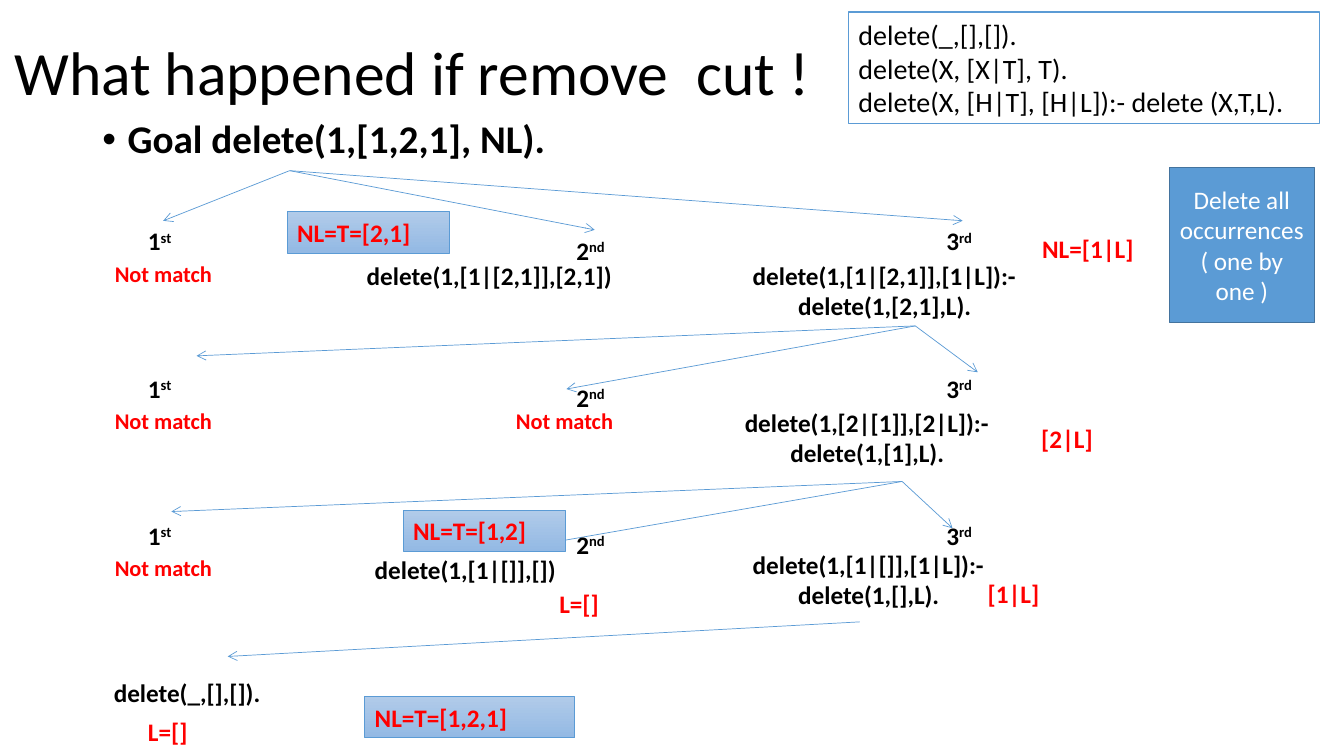
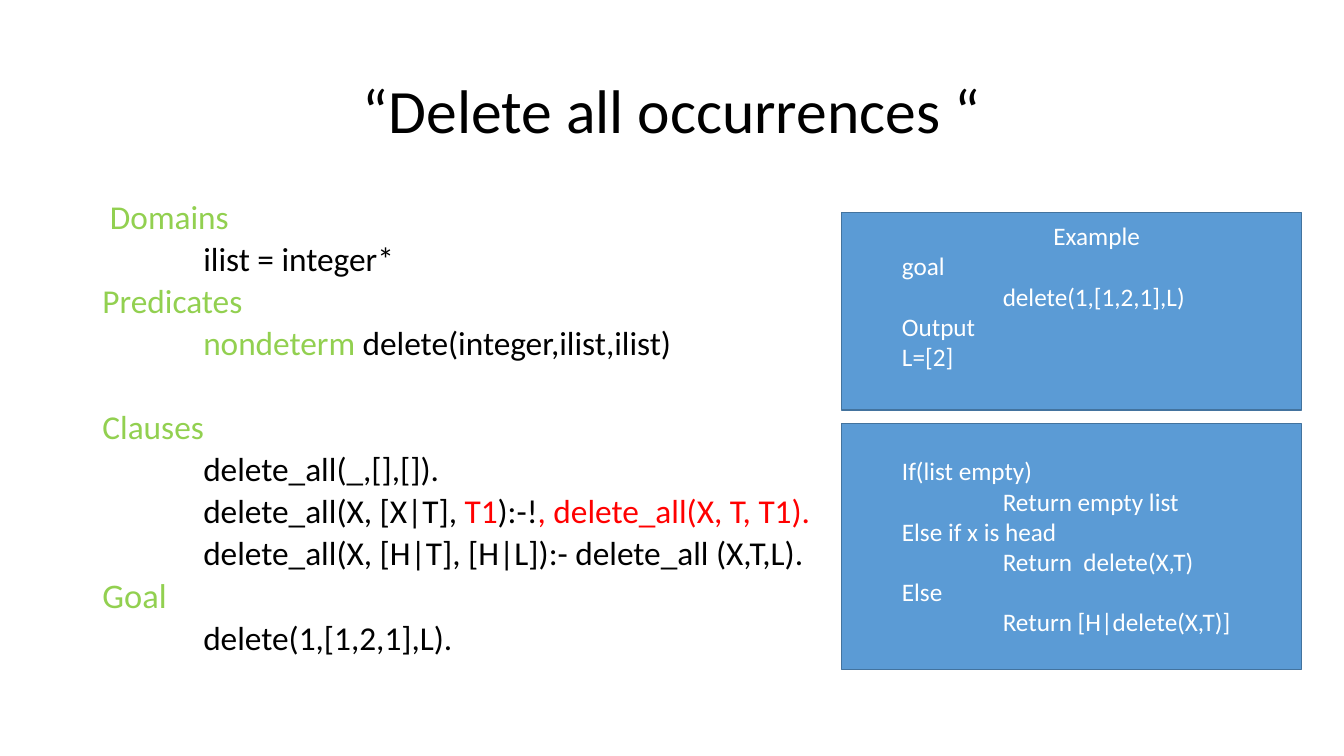
from lxml import etree
from pptx import Presentation
from pptx.dml.color import RGBColor
from pptx.enum.shapes import MSO_CONNECTOR, MSO_SHAPE
from pptx.enum.text import MSO_ANCHOR, MSO_AUTO_SIZE, PP_ALIGN
from pptx.oxml.ns import qn
from pptx.util import Pt

RECTANGLE = MSO_SHAPE.RECTANGLE
STRAIGHT = MSO_CONNECTOR.STRAIGHT
MIDDLE = MSO_ANCHOR.MIDDLE
NO_FIT = MSO_AUTO_SIZE.NONE
LEFT, CENTER, JUSTIFY = PP_ALIGN.LEFT, PP_ALIGN.CENTER, PP_ALIGN.JUSTIFY

FONT = "Calibri"
HEX = {
    "black": "000000", "white": "FFFFFF", "red": "FF0000", "green": "92D050",
    "blue": "5B9BD5", "edge": "43739E", "pale": "B1CBE9", "sky": "93B9E4",
}
COLORS = {name: RGBColor.from_string(value) for name, value in HEX.items()}


def write(box, lines, size, color, bold=False, align=LEFT):
    frame = box.text_frame
    frame.word_wrap = True
    frame.auto_size = NO_FIT
    frame.text = "\n".join(text for indent, text in lines)
    for para, (indent, text) in zip(frame.paragraphs, lines):
        para.alignment = align
        properties = para._p.get_or_add_pPr()
        properties.set("marL", str(Pt(indent)))
        properties.set("indent", "0")
        for span in para.runs:
            span.font.name = FONT
            span.font.size = Pt(size)
            span.font.bold = bold
            span.font.color.rgb = COLORS[color]


def add_panel(page, place, fill, edge, weight):
    box = page.shapes.add_shape(RECTANGLE, *map(Pt, place))
    box.shadow.inherit = False
    box.fill.solid()
    box.fill.fore_color.rgb = COLORS[fill]
    box.line.color.rgb = COLORS[edge]
    box.line.width = Pt(weight)
    box.text_frame.vertical_anchor = MIDDLE
    return box


deck = Presentation()
deck.slide_width, deck.slide_height = Pt(960), Pt(540)

pages = []
for title, title_place, body_place, align in [
    ("What happened if remove  cut !", (3, 2, 828, 104.4), (66, 82, 828, 404), LEFT),
    ("“Delete all occurrences “", (66, 28.8, 828, 104.4), (66, 144, 828, 342.7), CENTER),
]:
    page = deck.slides.add_slide(deck.slide_layouts[1])
    for box, place in zip(page.placeholders, (title_place, body_place)):
        box.left, box.top, box.width, box.height = map(Pt, place)
    write(page.shapes.title, [(0, title)], 44, "black", align=align)
    page.shapes.title.text_frame.vertical_anchor = MIDDLE
    page.shapes.title.text_frame.paragraphs[0].line_spacing = 0.9
    pages.append(page)
tree_page, program_page = pages

goal = tree_page.placeholders[1]
write(goal, [(18, "Goal delete(1,[1,2,1], NL).")], 28, "black", True)
para = goal.text_frame.paragraphs[0]
para.line_spacing = 0.9
para.space_before = Pt(10)
para._p.pPr.set("indent", str(Pt(-18)))

rules = add_panel(tree_page, (606.1, 8.6, 336.5, 80), "white", "blue", 0.75)
write(rules, [(0, "delete(_,[],[])."), (0, "delete(X, [X|T], T)."),
              (0, "delete(X, [H|T], [H|L]):- delete (X,T,L).")], 20, "black")

for start, ends in [
    ((206.9, 121.9), [(116.6, 157.7), (424.8, 164.2), (687.6, 157.7)]),
    ((653.8, 232.8), [(140.4, 254.2), (404.6, 277.9), (698.4, 265.9)]),
    ((644.4, 343.9), [(122.4, 365.4), (386.6, 388.8), (680.4, 377.3)]),
    ((614.2, 444.2), [(162.7, 468.9)]),
]:
    for end in ends:
        arrow = tree_page.shapes.add_connector(STRAIGHT, *map(Pt, start + end))
        arrow.line.color.rgb = COLORS["blue"]
        arrow.line.width = Pt(0.5)
        outline = arrow._element.spPr.find(qn("a:ln"))
        etree.SubElement(outline, qn("a:tailEnd")).set("type", "arrow")
        etree.SubElement(arrow._element.spPr, qn("a:effectLst"))

ROW_TOP, ROW_STEP = 157.7, 105.1
labels = []
for row in range(3):
    top = ROW_TOP + row * ROW_STEP
    for number, suffix, left, drop, width in [
        ("1", "st ", 98.6, 0, 36.7), ("2", "nd ", 404.6, 6.5, 41), ("3", "rd ", 668.9, 0, 38.9),
    ]:
        box = tree_page.shapes.add_textbox(Pt(left), Pt(top + drop), Pt(width), Pt(29))
        write(box, [(0, number)], 18, "black", True)
        span = box.text_frame.paragraphs[0].add_run()
        span.text = suffix
        span.font.name = FONT
        span.font.size = Pt(18)
        span.font.bold = True
        span.font.color.rgb = COLORS["black"]
        span._r.get_or_add_rPr().set("baseline", "30000")
    labels.append((["Not match"], 74.9, top + 24.5, 85, 16, "red"))

labels += [
    (["Not match"], 361.4, 287.3, 85, 16, "red"),
    (["delete(1,[1|[2,1]],[2,1])"], 254.9, 182.2, 252, 18, "black"),
    (["delete(1,[1|[]],[])"], 260.6, 392.4, 252, 18, "black"),
    (["delete(1,[1|[2,1]],[1|L]):-", "delete(1,[2,1],L)."], 530.6, 182.2, 246, 18, "black"),
    (["delete(1,[2|[1]],[2|L]):-", "delete(1,[1],L)."], 524.9, 287.3, 264, 18, "black"),
    (["delete(1,[1|[]],[1|L]):-", "delete(1,[],L)."], 530.6, 388.8, 258, 18, "black"),
    (["delete(_,[],[])."], 74.2, 480.2, 258, 18, "black"),
    (["NL=[1|L]"], 737.3, 163.4, 81, 18, "red"),
    (["[2|L]"], 736.6, 298.8, 52, 18, "red"),
    (["[1|L]"], 698.4, 409.7, 66, 18, "red"),
    (["L=[]"], 392.4, 416.9, 43.5, 18, "red"),
    (["L=[]"], 98.6, 508.3, 66, 18, "red"),
]
for texts, left, top, width, size, color in labels:
    height = 7.2 + len(texts) * size * 1.22
    box = tree_page.shapes.add_textbox(Pt(left), Pt(top), Pt(width), Pt(height))
    lines = [(32.5 * step, text) for step, text in enumerate(texts)]
    write(box, lines, size, color, True)

for text, left, top, width in [
    ("NL=T=[2,1]", 205.2, 151.2, 116), ("NL=T=[1,2]", 288, 364.3, 116),
    ("NL=T=[1,2,1]", 260.6, 497.5, 150),
]:
    answer = add_panel(tree_page, (left, top, width, 29.5), "pale", "blue", 0.5)
    answer.fill.gradient()
    answer.fill.gradient_angle = 270
    for stop, color in zip(answer.fill.gradient_stops, ("pale", "sky")):
        stop.color.rgb = COLORS[color]
    write(answer, [(0, text)], 18, "red", True)

remark = add_panel(tree_page, (835.2, 119.5, 103.7, 110.9), "blue", "edge", 1)
write(remark, [(0, "Delete all occurrences ( one by one )")], 18, "white", align=CENTER)

program = [
    (0, [(" Domains", "green")]),
    (72, [("ilist = integer*", "black")]),
    (0, [("Predicates", "green")]),
    (72, [("nondeterm ", "green"), ("delete(integer,ilist,ilist)", "black")]),
    (0, [("Clauses", "green")]),
    (72, [("delete_all(_,[],[]).", "black")]),
    (72, [("delete_all(X, [X|T], ", "black"), ("T1", "red"), ("):-!", "black"),
          (", delete_all(X, T, T1).", "red")]),
    (72, [("delete_all(X, [H|T], [H|L]):- delete_all (X,T,L).", "black")]),
    (0, [("Goal ", "green")]),
    (72, [("delete(1,[1,2,1],L).", "black")]),
]
listing = program_page.placeholders[1]
write(listing, [(indent, "") for indent, spans in program], 23.8, "black")
for para, (indent, spans) in zip(listing.text_frame.paragraphs, program):
    heading = spans[0][0]
    para.line_spacing = 0.7
    para.space_before = Pt(40.3 if heading == "Clauses" else 10)
    etree.SubElement(para._p.pPr, qn("a:buNone"))
    for text, color in spans:
        span = para.add_run()
        span.text = text
        span.font.name = FONT
        span.font.size = Pt(24.6 if heading == "Goal " else 23.8)
        span.font.color.rgb = COLORS[color]

example = add_panel(program_page, (601.2, 151.9, 328.3, 141.1), "blue", "edge", 1)
write(example, [(36, "Example"), (36, "goal"), (108, "delete(1,[1,2,1],L)"),
                (36, "Output "), (36, "L=[2]")], 18, "white", align=JUSTIFY)
example.text_frame.paragraphs[0].alignment = CENTER
example.text_frame.margin_bottom = Pt(25.6)

logic = add_panel(program_page, (601.2, 302.4, 328.3, 175.7), "blue", "edge", 1)
write(logic, [(36, "If(list empty)"), (108, "Return empty list"),
              (36, "Else if x is head"), (108, "Return  delete(X,T) "),
              (36, "Else"), (108, "Return [H|delete(X,T)]")], 18, "white")

deck.save("out.pptx")
